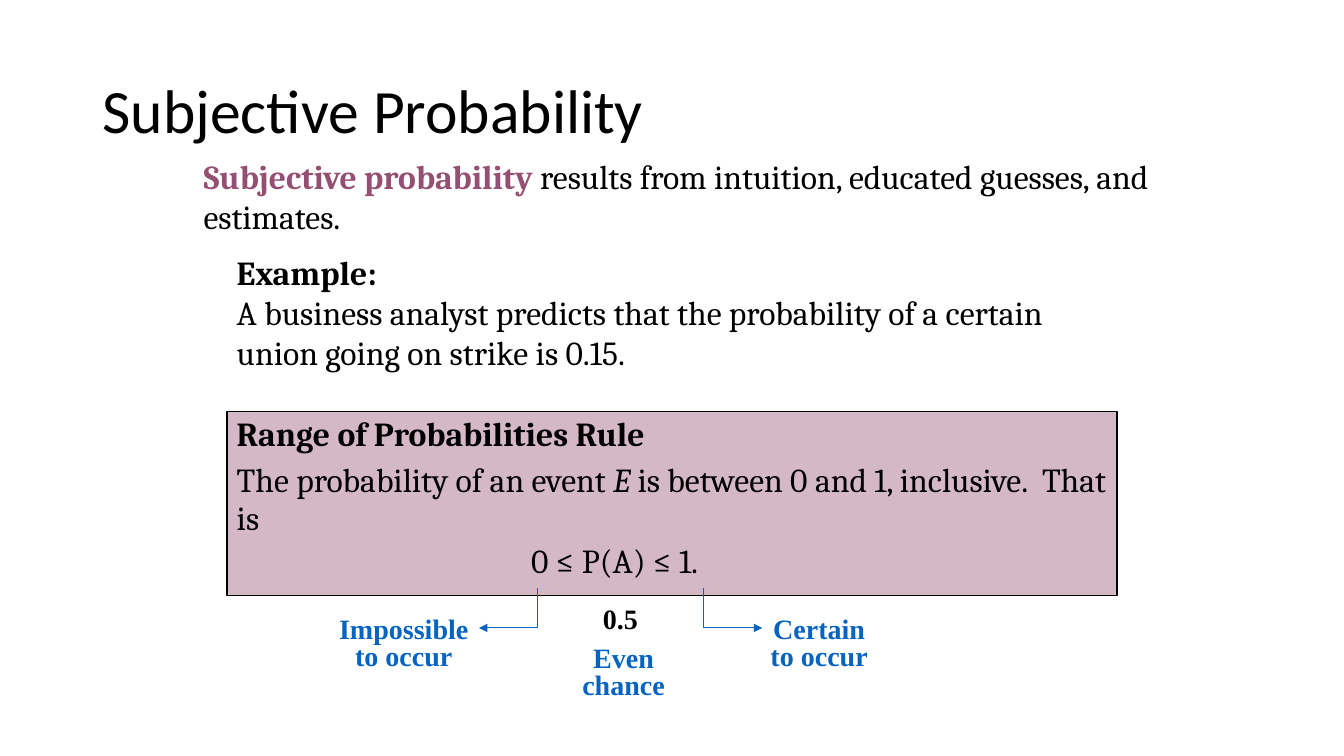
from dataclasses import dataclass

from lxml.etree import SubElement
from pptx import Presentation
from pptx.dml.color import RGBColor
from pptx.enum.text import MSO_ANCHOR, MSO_AUTO_SIZE, PP_ALIGN
from pptx.oxml.ns import qn
from pptx.util import Emu, Pt

PX = 9144  # 100 px to the inch
COLORS = {"black": "000000", "plum": "954F72", "blue": "0563C1"}


@dataclass(frozen=True)
class Run:
    text: str
    bold: bool = False
    italic: bool = False
    color: str = "black"


@dataclass(frozen=True)
class Style:
    font: str = "Cambria"
    size: int = 24
    align: PP_ALIGN = PP_ALIGN.LEFT
    line_spacing: float = 1.0
    space_before: int = 0


@dataclass(frozen=True)
class TextBox:
    box: tuple[int, int, int, int]
    paragraphs: list[list[Run]]
    style: Style = Style()
    anchor: MSO_ANCHOR = MSO_ANCHOR.TOP
    wrap: bool = True
    grow: bool = True


@dataclass(frozen=True)
class Arrow:
    start: tuple[int, int]
    width: int
    drop: int = 40


def px(*lengths: int) -> list[Emu]:
    return [Emu(length * PX) for length in lengths]


def rgb(name: str) -> RGBColor:
    return RGBColor.from_string(COLORS[name])


def fill_text(frame, paragraphs: list[list[Run]], style: Style) -> None:
    for index, runs in enumerate(paragraphs):
        paragraph = frame.add_paragraph() if index else frame.paragraphs[0]
        paragraph.alignment = style.align
        paragraph.line_spacing = style.line_spacing
        paragraph.space_before = Pt(style.space_before if index else 0)
        for item in runs:
            run = paragraph.add_run()
            run.text = item.text
            run.font.name = style.font
            run.font.size = Pt(style.size)
            run.font.bold = item.bold
            run.font.italic = item.italic
            run.font.color.rgb = rgb(item.color)


def draw_text(slide, item: TextBox) -> None:
    frame = slide.shapes.add_textbox(*px(*item.box)).text_frame
    frame.word_wrap = item.wrap
    frame.auto_size = MSO_AUTO_SIZE.SHAPE_TO_FIT_TEXT if item.grow else MSO_AUTO_SIZE.NONE
    frame.vertical_anchor = item.anchor
    fill_text(frame, item.paragraphs, item.style)


def draw_rule_panel(slide, box: tuple[int, int, int, int], paragraphs: list[list[Run]]) -> None:
    shape = slide.shapes.add_shape(1, *px(*box))
    shape.shadow.inherit = False
    shape.fill.solid()
    shape.fill.fore_color.rgb = rgb("plum")
    color = shape.fill._xPr.find(qn("a:solidFill"))[0]
    SubElement(color, qn("a:alpha"), val="40000")
    shape.line.color.rgb = rgb("black")
    shape.line.width = Pt(1)
    shape.text_frame.word_wrap = True
    shape.text_frame.vertical_anchor = MSO_ANCHOR.TOP
    fill_text(shape.text_frame, paragraphs, Style(line_spacing=0.95, space_before=5))


def draw_arrow(slide, arrow: Arrow) -> None:
    x, y = arrow.start
    corner_y = y + arrow.drop
    builder = slide.shapes.build_freeform(x, y, scale=PX)
    builder.add_line_segments([(x, corner_y), (x + arrow.width, corner_y)], close=False)
    shape = builder.convert_to_shape()
    shape.shadow.inherit = False
    shape.fill.background()
    shape.line.color.rgb = rgb("blue")
    shape.line.width = Pt(0.75)
    SubElement(shape.line._get_or_add_ln(), qn("a:tailEnd"), type="triangle")


LABEL = Style("Times New Roman", 20, PP_ALIGN.CENTER, 0.8)

# Title, definition and example
INTRODUCTION = [
    TextBox((192, 149, 975, 91), [[
        Run("Subjective probability", bold=True, color="plum"),
        Run(" results from intuition, educated guesses, and estimates."),
    ]], anchor=MSO_ANCHOR.MIDDLE),
    TextBox((92, 40, 1150, 145), [[Run("Subjective Probability")]],
            Style("Calibri", 44, line_spacing=0.9), MSO_ANCHOR.MIDDLE, grow=False),
    TextBox((225, 244, 900, 131), [
        [Run("Example:", bold=True)],
        [Run("A business analyst predicts that the probability of a certain "
             "union going on strike is 0.15.")],
    ], anchor=MSO_ANCHOR.MIDDLE),
]

# Rule
RULE = [
    [Run("Range of Probabilities Rule", bold=True)],
    [Run("The probability of an event "), Run("E", italic=True),
     Run(" is between 0 and 1, inclusive.  That is")],
]

# Inequality and the meaning of its values
SCALE = [
    TextBox((517, 531, 208, 50), [[Run("0 ≤ P(A) ≤ 1.")]], wrap=False),
    *(TextBox(box, [[Run(line, bold=True, color="blue")] for line in lines], LABEL)
      for box, lines in [
          ((292, 608, 217, 63), ["Impossible", "to occur"]),
          ((746, 608, 133, 63), ["Certain", "to occur"]),
          ((552, 637, 133, 63), ["Even chance"]),
      ]),
    TextBox((588, 592, 55, 43), [[Run("0.5", bold=True)]],
            Style("Times New Roman", 20), wrap=False),
]
ARROWS = [Arrow((533, 583), -58), Arrow((698, 583), 58)]


def main() -> None:
    presentation = Presentation()
    presentation.slide_width, presentation.slide_height = px(1333, 750)
    slide = presentation.slides.add_slide(presentation.slide_layouts[6])
    for item in INTRODUCTION:
        draw_text(slide, item)
    draw_rule_panel(slide, (225, 408, 883, 183), RULE)
    for item in SCALE:
        draw_text(slide, item)
    for arrow in ARROWS:
        draw_arrow(slide, arrow)
    presentation.save("out.pptx")


if __name__ == "__main__":
    main()
